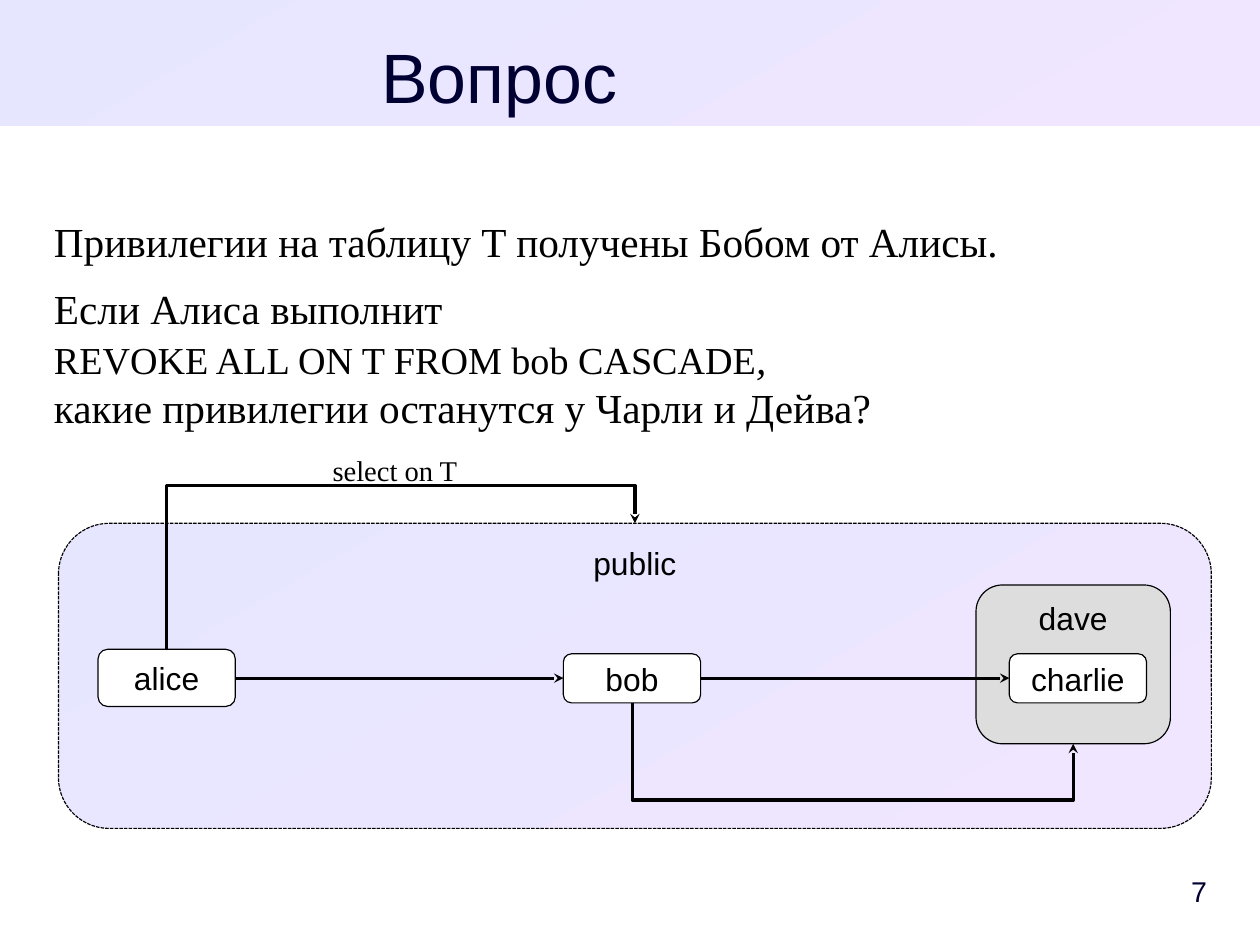
"""Build a slide that asks which privileges remain after a cascading REVOKE."""
import pptx
import pptx.dml.color
import pptx.enum.dml
import pptx.enum.shapes
import pptx.enum.text
import pptx.oxml
import pptx.oxml.ns
import pptx.util

Cm = pptx.util.Cm
Pt = pptx.util.Pt
ALIGN = pptx.enum.text.PP_ALIGN
ANCHOR = pptx.enum.text.MSO_ANCHOR
SHAPE = pptx.enum.shapes.MSO_SHAPE
CONNECTOR = pptx.enum.shapes.MSO_CONNECTOR
SANS, SERIF = "Arial", "Times New Roman"
COLORS = {"ink": "000000", "navy": "000033", "white": "FFFFFF", "gray": "DDDDDD",
          "blue": "E6E6FF", "pink": "F0E6FF"}


def rgb(name):
    """Return a named colour."""
    return pptx.dml.color.RGBColor.from_string(COLORS[name])


def style_run(r, size, font, color="ink", italic=False):
    """Format one run."""
    r.font.size, r.font.name, r.font.italic = Pt(size), font, italic
    r.font.color.rgb = rgb(color)


def set_text(sp, text, size, font, color="ink", align=ALIGN.CENTER,
             anchor=ANCHOR.TOP, wrap=False):
    """Put one formatted paragraph into a shape."""
    tf = sp.text_frame
    tf.text = text
    tf.word_wrap, tf.vertical_anchor = wrap, anchor
    p = tf.paragraphs[0]
    p.alignment = align
    style_run(p.runs[0], size, font, color)


def clear_margins(tf):
    """Remove all text insets."""
    tf.margin_left = tf.margin_top = tf.margin_right = tf.margin_bottom = 0


def fill_gradient(sp):
    """Fill a shape with the diagonal blue to pink gradient."""
    sp.fill.gradient()
    sp.fill.gradient_angle = 300
    for stop, name in zip(sp.fill.gradient_stops, ("blue", "pink")):
        stop.color.rgb = rgb(name)


def add_header(s):
    """Add the gradient band behind the title."""
    sp = s.shapes.add_shape(SHAPE.RECTANGLE, 0, 0, Cm(28), Cm(2.8))
    sp.shadow.inherit = False
    sp.line.fill.background()
    fill_gradient(sp)
    s.shapes._spTree.insert(2, sp._element)


def add_title(s, text):
    """Place and format the title placeholder."""
    sp = s.shapes.title
    sp.left, sp.top, sp.width, sp.height = Cm(1.2), Cm(0.74), Cm(19.8), Cm(1.75)
    set_text(sp, text, 44, SANS, "navy", wrap=True)
    sp.text_frame.auto_size = pptx.enum.text.MSO_AUTO_SIZE.NONE
    clear_margins(sp.text_frame)


def add_label(s, box, text, font, color="ink", **layout):
    """Add a small one-line text box."""
    sp = s.shapes.add_textbox(*map(Cm, box))
    set_text(sp, text, 18, font, color, **layout)
    return sp


def add_question(s, paragraphs):
    """Add paragraphs given as lines of (text, size, italic) pieces."""
    tf = s.shapes.add_textbox(Cm(1.2), Cm(4.8), Cm(25.6), Cm(6)).text_frame
    tf.word_wrap = True
    clear_margins(tf)
    for i, lines in enumerate(paragraphs):
        p = tf.add_paragraph() if i else tf.paragraphs[0]
        p.space_after = Pt(11.3)
        for j, pieces in enumerate(lines):
            if j:
                p.add_line_break()
            for text, size, italic in pieces:
                r = p.add_run()
                r.text = text
                style_run(r, size, SERIF, italic=italic)


def add_role(s, name, box, fill="white", anchor=ANCHOR.MIDDLE):
    """Add a rounded box that stands for a database role."""
    sp = s.shapes.add_shape(SHAPE.ROUNDED_RECTANGLE, *map(Cm, box))
    sp.shadow.inherit = False
    sp.fill.solid()
    sp.fill.fore_color.rgb = rgb(fill)
    sp.line.color.rgb = rgb("ink")
    sp.line.width = 0
    set_text(sp, name, 20, SANS, anchor=anchor)
    return sp


def add_arrow(s, kind, x1, y1, x2, y2):
    """Add a hairline connector with a stealth head."""
    c = s.shapes.add_connector(kind, Cm(x1), Cm(y1), Cm(x2), Cm(y2))
    c.line.color.rgb = rgb("ink")
    c.line.width = 0
    ns = pptx.oxml.ns.nsdecls("a")
    c.line._get_or_add_ln().append(pptx.oxml.parse_xml(f'<a:tailEnd {ns} type="stealth"/>'))
    c._element.spPr.append(pptx.oxml.parse_xml(f"<a:effectLst {ns}/>"))
    return c


def add_bent_arrow(s, x1, y1, x2, y2, turn_y):
    """Add an elbow arrow that leaves vertically and crosses at turn_y."""
    cx, cy = (x1 + x2) / 2, (y1 + y2) / 2
    dx, dy = (x2 - x1) / 2, (y2 - y1) / 2
    c = add_arrow(s, CONNECTOR.ELBOW, cx - dy, cy + dx, cx + dy, cy - dx)
    spPr = c._element.spPr
    spPr.find(pptx.oxml.ns.qn("a:xfrm")).set("rot", "5400000")
    geom = spPr.find(pptx.oxml.ns.qn("a:prstGeom"))
    guides = geom.find(pptx.oxml.ns.qn("a:avLst"))
    if guides is not None:
        geom.remove(guides)
    bend = round((turn_y - y1) / (y2 - y1) * 100000)
    geom.append(pptx.oxml.parse_xml(
        f'<a:avLst {pptx.oxml.ns.nsdecls("a")}><a:gd name="adj1" fmla="val {bend}"/></a:avLst>'))


def main():
    """Build and save the slide."""
    prs = pptx.Presentation()
    prs.slide_width, prs.slide_height = Cm(28), Cm(21)
    s = prs.slides.add_slide(prs.slide_layouts[5])
    add_header(s)
    add_title(s, "Вопрос")
    number = add_label(s, (24.61, 19.2, 2.21, 1.19), "7", SANS, "navy",
                       align=ALIGN.RIGHT, anchor=ANCHOR.MIDDLE, wrap=True)
    number.text_frame.margin_right = 0

    public = add_role(s, "public", (1.3, 11.63, 25.62, 6.78), anchor=ANCHOR.TOP)
    fill_gradient(public)
    public.line.dash_style = pptx.enum.dml.MSO_LINE.SQUARE_DOT
    add_question(s, [
        [[("Привилегии на таблицу T получены Бобом от Алисы.", 26, False)]],
        [[("Если Алиса выполнит", 26, False)],
         [("REVOKE ALL ON T FROM bob CASCADE", 24, False), (",", 26, True)],
         [("какие привилегии останутся у Чарли и Дейва?", 26, False)]],
    ])
    add_role(s, "alice", (2.18, 14.43, 3.05, 1.27))
    add_role(s, "bob", (12.52, 14.53, 3.05, 1.09))
    add_role(s, "dave", (21.69, 13, 4.32, 3.53), "gray", ANCHOR.TOP)
    add_role(s, "charlie", (22.43, 14.53, 3.05, 1.09))

    add_label(s, (7.14, 9.93, 3.28, 0.97), "select on T", SERIF, align=ALIGN.LEFT)
    for x1, x2 in ((5.23, 12.52), (15.57, 22.43)):
        add_arrow(s, CONNECTOR.STRAIGHT, x1, 15.07, x2, 15.07)
    add_bent_arrow(s, 3.7, 14.43, 14.11, 11.63, 10.79)
    add_bent_arrow(s, 14.05, 15.62, 23.85, 16.53, 17.78)
    prs.save("out.pptx")


if __name__ == "__main__":
    main()
